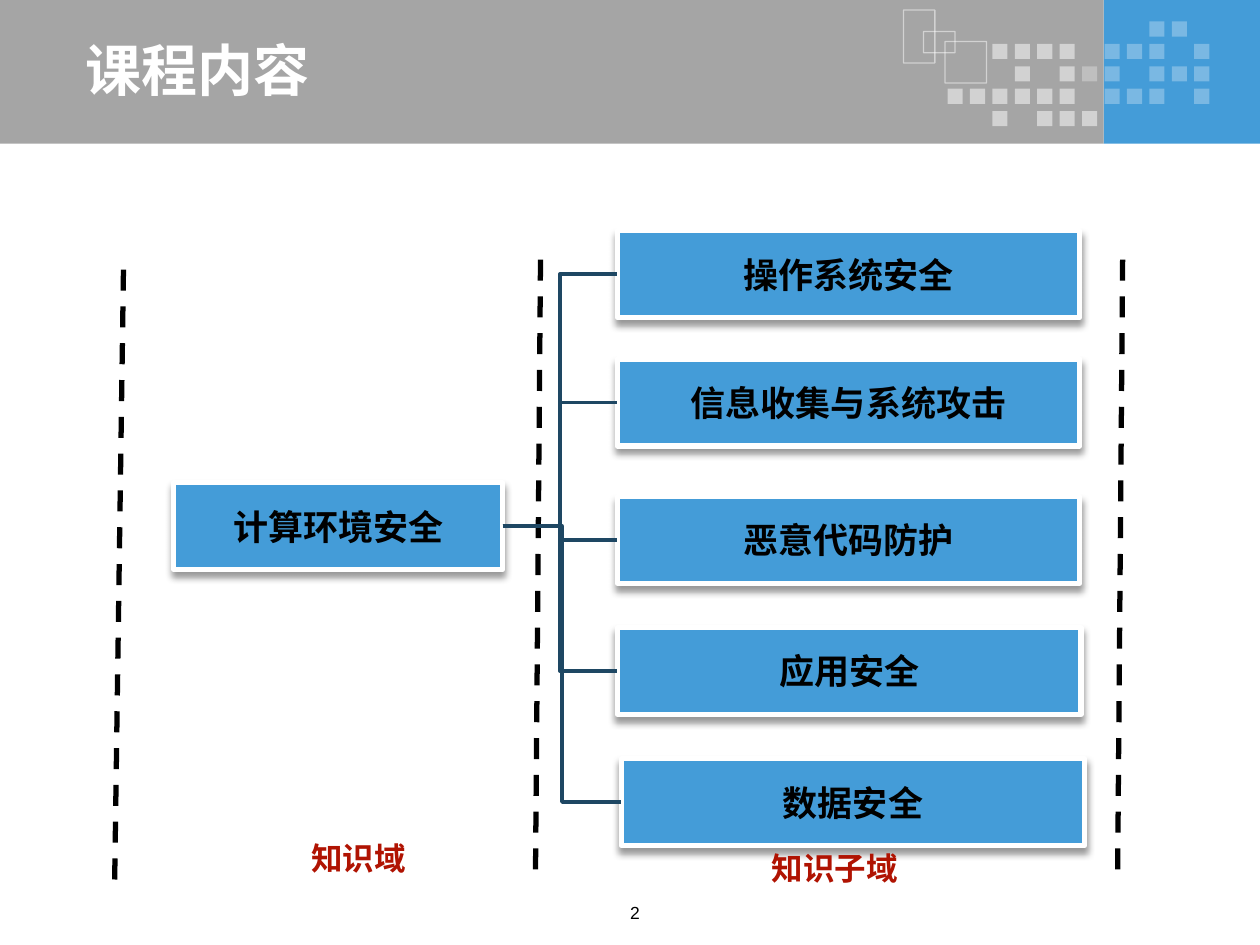
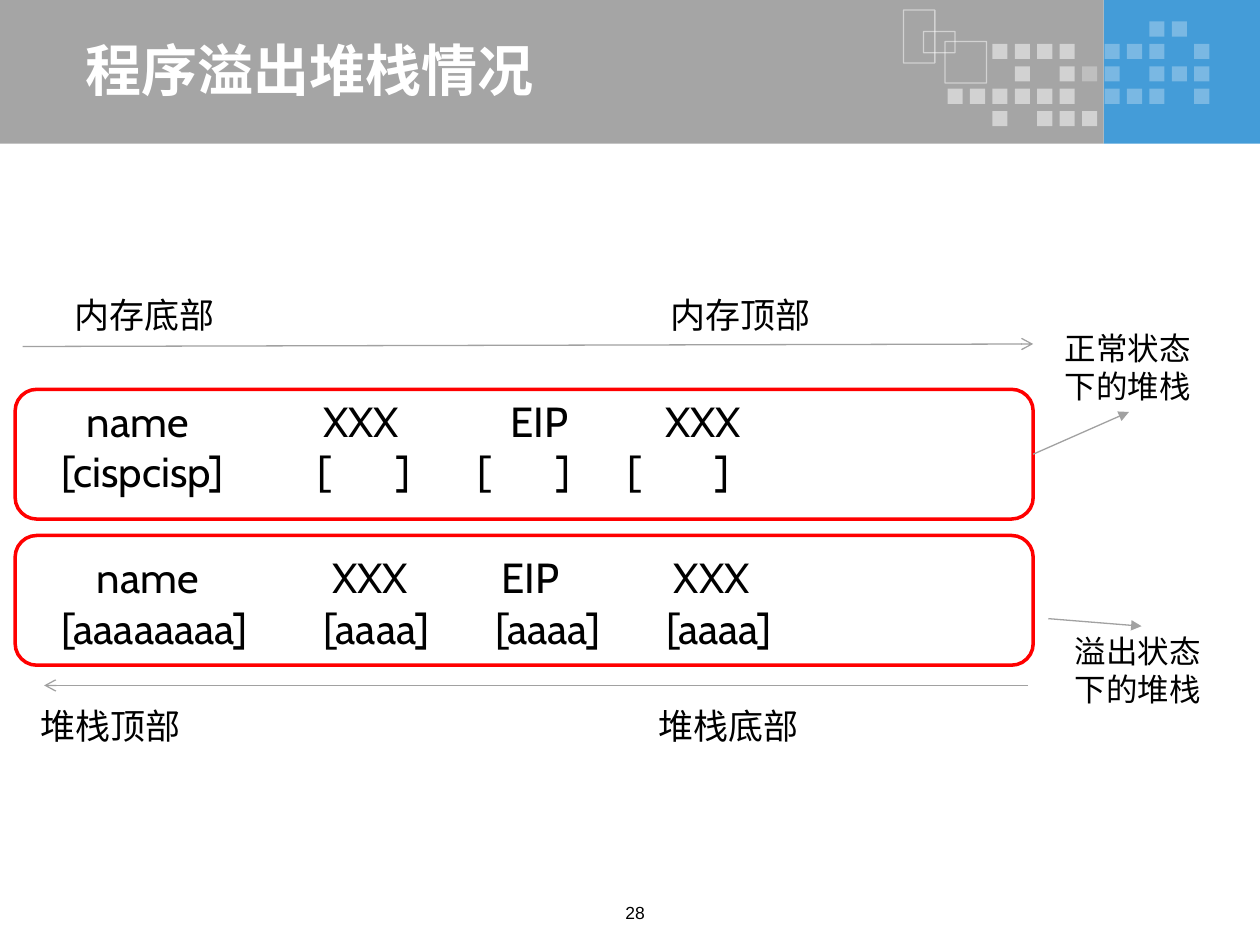
from lxml import etree
from pptx import Presentation
from pptx import util as u
from pptx.dml import color
from pptx.enum import dml, shapes, text
from pptx.oxml import ns

theme = {
    "blue": "449CD8", "gray": "A5A5A5", "white": "FFFFFF", "black": "000000",
    "red": "FF0000", "brick": "B01302", "navy": "1E4763", "ash": "A1A1A1",
    "title": {"size": 32, "name": "Noto Sans CJK SC", "color": "FFFFFF", "bold": True},
    "node": {"size": 20, "name": "Arial", "color": "000000", "bold": True},
    "tag": {"size": 18, "name": "Arial", "color": "B01302", "bold": True},
    "note": {"size": 18, "name": "Arial", "color": "000000", "bold": False},
    "code": {"size": 24, "name": "Cabin", "color": "000000", "bold": False},
    "end": {"size": 20, "name": "Cabin", "color": "000000", "bold": False},
    "page": {"size": 10, "name": "Arial", "color": "000000", "bold": False},
}
cjk = "Noto Sans CJK SC"
left, mid = text.PP_ALIGN.LEFT, text.PP_ALIGN.CENTER
top, center = text.MSO_ANCHOR.TOP, text.MSO_ANCHOR.MIDDLE
rect, rounded = shapes.MSO_SHAPE.RECTANGLE, shapes.MSO_SHAPE.ROUNDED_RECTANGLE
straight, elbow = shapes.MSO_CONNECTOR.STRAIGHT, shapes.MSO_CONNECTOR.ELBOW

deck = Presentation()
deck.slide_width, deck.slide_height = u.Inches(10), u.Inches(7.5)
unit = deck.slide_width / 100


def box(slide, at, kind=None, fill=None, line=None, alpha=None,
        rows=(), style="note", align=left, anchor=top, wrap=True, tabs=()):
    at = [round(n * unit) for n in at]
    if kind is None:
        item = slide.shapes.add_textbox(*at)
    else:
        item = slide.shapes.add_shape(kind, *at)
        item.shadow.inherit = False
        if fill:
            item.fill.solid()
            item.fill.fore_color.rgb = color.RGBColor.from_string(theme[fill])
        else:
            item.fill.background()
        if line:
            item.line.color.rgb = color.RGBColor.from_string(theme[line[0]])
            item.line.width = u.Pt(line[1])
        else:
            item.line.fill.background()
        if alpha:
            for tint in item._element.spPr.iter(ns.qn("a:srgbClr")):
                etree.SubElement(tint, ns.qn("a:alpha"), val=str(alpha * 1000))
    if not rows:
        return item
    frame = item.text_frame
    frame.word_wrap, frame.vertical_anchor = wrap, anchor
    for i, words in enumerate(rows):
        para = frame.paragraphs[0] if i == 0 else frame.add_paragraph()
        para.alignment = align
        if tabs:
            stops = etree.SubElement(para._p.get_or_add_pPr(), ns.qn("a:tabLst"))
            for stop in tabs[i]:
                etree.SubElement(stops, ns.qn("a:tab"), pos=str(round(stop * unit)), algn="l")
        run = para.add_run()
        run.text = words
        for key, val in theme[style].items():
            if key == "color":
                run.font.color.rgb = color.RGBColor.from_string(val)
            else:
                setattr(run.font, key, u.Pt(val) if key == "size" else val)
        etree.SubElement(run._r.get_or_add_rPr(), ns.qn("a:ea"), typeface=cjk)
    return item


def wire(slide, ends, tint, width, kind=straight, dash=None, tip=None, start=None, stop=None):
    link = slide.shapes.add_connector(kind, *[round(n * unit) for n in ends])
    if start:
        link.begin_connect(start, 3)
    if stop:
        link.end_connect(stop, 1)
    link.line.color.rgb = color.RGBColor.from_string(theme[tint])
    link.line.width = u.Pt(width)
    if dash:
        link.line.dash_style = dash
    if tip:
        etree.SubElement(link.line._get_or_add_ln(), ns.qn("a:tailEnd"), type=tip)
    etree.SubElement(link._element.spPr, ns.qn("a:effectLst"))


dots = [
    ".........++.",
    "..####.+++.+",
    "...#.#++.+++".replace("++.+++", "++.+++"),
    "######.+++.+",
    "..#.###.....",
]
dots[2] = "...#.#++.+++"
alphas = {"#": 50, "+": 29}
pitch = 1.78

pages = []
for name, num in [("课程内容", "2"), ("程序溢出堆栈情况", "28")]:
    page = deck.slides.add_slide(deck.slide_layouts[6])
    box(page, (87.6, 0, 12.4, 11.4), rect, "blue")
    box(page, (0, 0, 87.6, 11.4), rect, "gray")
    for r, row in enumerate(dots):
        for c, mark in enumerate(row):
            if mark in alphas:
                box(page, (75.2 + c * pitch, 1.7 + r * pitch, 1.2, 1.2),
                    rect, "white", alpha=alphas[mark])
    for at in [(71.7, 0.8, 2.5, 4.2), (73.3, 2.5, 2.5, 1.7), (75, 3.3, 3.3, 3.3)]:
        box(page, at, rect, line=("white", 0.75), alpha=50)
    box(page, (5.8, 2.8, 77.6, 5.3), rows=[name], style="title", anchor=center)
    box(page, (45.8, 71.1, 9.2, 2.9), rows=[num], style="page", align=mid)
    pages.append(page)
tree, stack = pages

for ends in [(42.9, 20.6, 42.5, 69.2), (89.1, 20.6, 88.7, 70), (9.8, 21.4, 9.1, 70)]:
    wire(tree, ends, "black", 3, dash=dml.MSO_LINE.DASH)

nodes = []
for words, x, y, w in [
    ("计算环境安全", 13.8, 38.3, 26.1),
    ("操作系统安全", 49, 18.3, 36.7),
    ("信息收集与系统攻击", 49, 28.5, 36.7),
    ("恶意代码防护", 49, 39.4, 36.7),
    ("应用安全", 49, 49.8, 36.8),
    ("数据安全", 49.3, 60.2, 36.8),
]:
    node = box(tree, (x, y, w, 6.9), rect, "blue", ("white", 3), rows=[words],
               style="node", align=mid, anchor=center, wrap=False)
    glow = etree.SubElement(
        node._element.spPr.find(ns.qn("a:effectLst")), ns.qn("a:outerShdw"),
        blurRad=str(u.Pt(4)), dist=str(u.Pt(3)), dir="5400000", rotWithShape="0")
    tint = etree.SubElement(glow, ns.qn("a:srgbClr"), val=theme["black"])
    etree.SubElement(tint, ns.qn("a:alpha"), val="40000")
    nodes.append(node)

hub, *leaves = nodes
for leaf in leaves:
    wire(tree, (39.9, 41.8, 49, 50), "navy", 2, elbow, start=hub, stop=leaf)

for words, at in [("知识域", (22.5, 66.1, 11.9, 4)), ("知识子域", (56.8, 66.9, 18.9, 4))]:
    box(tree, at, rows=[words], style="tag", align=mid)

frames = [box(stack, (1.2, y, 80.8, 10.3), rounded, line=("red", 2)) for y in (30.9, 42.5)]

for at, rows, tabs in [
    ((3.9, 30.9, 80.9, 9.1),
     ["\tname\tXXX\tEIP\tXXX", "[cispcisp]\t[\t]\t[\t]\t[\t]"],
     [(2, 20.8, 35.6, 47.9), (20.3, 26.6, 33, 39.3, 44.9, 51.9)]),
    ((3.9, 43.3, 88.8, 9.1),
     ["\tname\tXXX\tEIP\tXXX", "[aaaaaaaa]\t[aaaa]\t[aaaa]\t[aaaa]"],
     [(2.8, 21.5, 34.9, 48.6), (20.8, 34.4, 48)]),
]:
    box(stack, at, rows=rows, style="code", tabs=tabs)

for words, at, stop in [
    ("内存底部\t内存顶部", (4.9, 22.8, 76.8, 4.3), 47.3),
    ("堆栈顶部\t堆栈底部", (2.2, 55.4, 79.8, 4.3), 49.1),
]:
    box(stack, at, rows=[words], style="end", tabs=[(stop,)])

for words, at in [
    ("正常状态下的堆栈", (83.5, 25.6, 12.2, 7.1)),
    ("溢出状态下的堆栈", (84.3, 49.7, 12.6, 7.1)),
]:
    box(stack, at, rows=[words])

for ends, tip, start in [
    ((1.8, 27.5, 82, 27.3), "arrow", None),
    ((81.6, 54.4, 3.5, 54.4), "arrow", None),
    ((82, 36, 89.6, 32.7), "triangle", frames[0]),
    ((83.2, 49.1, 90.6, 49.7), "triangle", None),
]:
    wire(stack, ends, "ash", 0.75, tip=tip, start=start)

deck.save("out.pptx")
